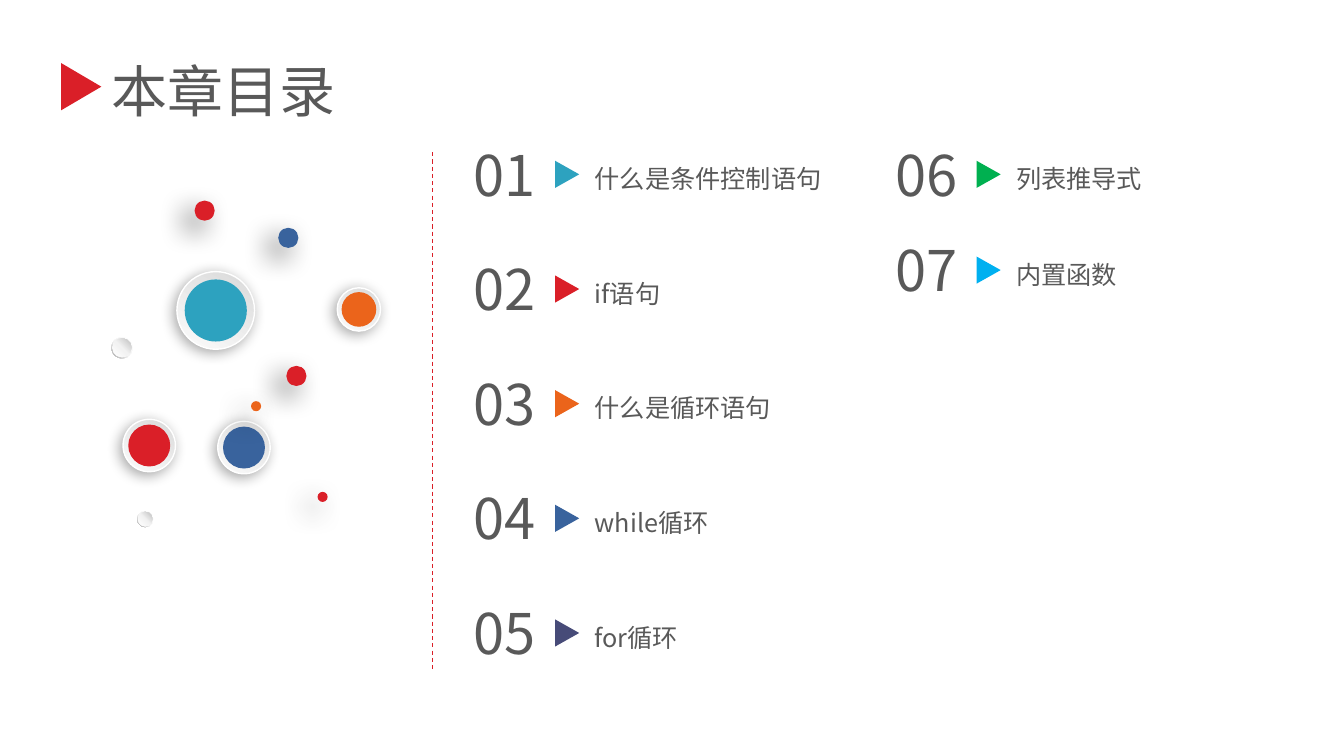
from dataclasses import dataclass
from typing import NamedTuple

from lxml import etree
from pptx import Presentation
from pptx.dml.color import RGBColor
from pptx.enum import dml, shapes, text
from pptx.oxml.ns import qn
from pptx.util import Inches, Pt

Stops = tuple[tuple[int, str], ...]


class Shade(NamedTuple):
    alpha: int
    blur: float
    dist: float
    angle: int


class Item(NamedTuple):
    label: str
    color: str


class Column(NamedTuple):
    left: float
    step: float
    items: tuple[Item, ...]


class Disc(NamedTuple):
    x: float
    y: float
    size: float
    color: str = ""


@dataclass(frozen=True)
class Theme:
    font: str = "Noto Sans CJK SC"
    ink: str = "595959"
    white: str = "FFFFFF"
    red: str = "DA1F28"
    teal: str = "2DA2BF"
    orange: str = "EB641B"
    blue: str = "39639D"
    indigo: str = "474B78"
    green: str = "00B050"
    sky: str = "00B0F0"
    large: int = 40
    small: int = 18
    rim: Stops = ((0, "D9D9D9"), (100, "FCFCFC"))
    edge: Stops = ((0, "FFFFFF"), (55, "F2F2F2"), (100, "A6A6A6"))
    core: Stops = ((0, "FFFFFF"), (51, "F2F2F2"), (100, "BFBFBF"))
    soft: Shade = Shade(34, 10, 3, 136)
    deep: Shade = Shade(60, 20, 10, 135)


T = Theme()
KIND = shapes.MSO_SHAPE

COLUMNS = (
    Column(4.6, 4.55 / 4, (
        Item("什么是条件控制语句", T.teal),
        Item("if语句", T.red),
        Item("什么是循环语句", T.orange),
        Item("while循环", T.blue),
        Item("for循环", T.indigo),
    )),
    Column(8.78, 0.95, (
        Item("列表推导式", T.green),
        Item("内置函数", T.sky),
    )),
)
RINGS = (
    Disc(2.14, 3.08, 0.77, T.teal),
    Disc(1.48, 4.42, 0.52, T.red),
    Disc(2.42, 4.44, 0.52, T.blue),
    Disc(3.56, 3.07, 0.43, T.orange),
)
BEADS = (Disc(1.44, 5.15, 0.16), Disc(1.21, 3.45, 0.21))
DOTS = (
    Disc(2.94, 3.73, 0.2, T.red),
    Disc(2.86, 2.36, 0.2, T.blue),
    Disc(3.2, 4.93, 0.1, T.red),
    Disc(2.03, 2.09, 0.2, T.red),
    Disc(2.54, 4.03, 0.1, T.orange),
)


def rgb(color: str) -> RGBColor:
    return RGBColor.from_string(color)


def node(parent, tag: str, **attrs):
    return etree.SubElement(parent, qn(tag), {k: str(v) for k, v in attrs.items()})


# Text
def write(shape, words: str, size: int, spacing: float = 1.0) -> None:
    frame = shape.text_frame
    frame.word_wrap = True
    frame.auto_size = text.MSO_AUTO_SIZE.NONE
    frame.vertical_anchor = text.MSO_ANCHOR.TOP
    frame.text = words
    para = frame.paragraphs[0]
    para.alignment = text.PP_ALIGN.LEFT
    para.line_spacing = spacing
    font = para.font
    font.size = Pt(size)
    font.color.rgb = rgb(T.ink)
    font.name = T.font
    node(para._p.pPr.find(qn("a:defRPr")), "a:ea", typeface=T.font)


def label(slide, left: float, top: float, width: float, height: float,
          words: str, size: int, spacing: float = 1.0) -> None:
    box = slide.shapes.add_textbox(
        Inches(left), Inches(top), Inches(width), Inches(height))
    write(box, words, size, spacing)


# Shapes
def plain(slide, kind, left: float, top: float, width: float, height: float):
    shape = slide.shapes.add_shape(
        kind, Inches(left), Inches(top), Inches(width), Inches(height))
    shape.shadow.inherit = False
    shape.line.fill.background()
    return shape


def paint(shape, color: str) -> None:
    shape.fill.solid()
    shape.fill.fore_color.rgb = rgb(color)


def blend(shape, stops: Stops, angle: int) -> None:
    shape.fill.gradient()
    shape.fill.gradient_angle = 360 - angle
    ramp = shape._element.spPr.find(".//" + qn("a:gsLst"))
    ramp.clear()
    for place, color in stops:
        node(node(ramp, "a:gs", pos=place * 1000), "a:srgbClr", val=color)


def cast(shape, shade: Shade) -> None:
    effects = shape._element.spPr.find(qn("a:effectLst"))
    outer = node(effects, "a:outerShdw", blurRad=Pt(shade.blur),
                 dist=Pt(shade.dist), dir=shade.angle * 60000,
                 algn="ctr", rotWithShape=0)
    node(node(outer, "a:srgbClr", val="000000"), "a:alpha", val=shade.alpha * 1000)


def arrow(slide, left: float, top: float, width: float, height: float,
          color: str) -> None:
    shape = plain(slide, KIND.ISOSCELES_TRIANGLE, left, top, width, height)
    shape.rotation = 90
    paint(shape, color)


def disc(slide, spot: Disc, scale: float = 1.0, kind=KIND.OVAL):
    size = spot.size * scale
    return plain(slide, kind, spot.x - size / 2, spot.y - size / 2, size, size)


def main() -> None:
    deck = Presentation()
    deck.slide_width, deck.slide_height = Inches(13.33), Inches(7.5)
    slide = deck.slides.add_slide(deck.slide_layouts[5])

    # Title
    title = slide.shapes.title
    title.left, title.top = Inches(1.01), Inches(0.51)
    title.width, title.height = Inches(3.26), Inches(0.77)
    write(title, "本章目录", T.large)
    arrow(slide, 0.57, 0.66, 0.47, 0.4, T.red)

    # Ringed discs
    for ring in RINGS:
        rim = disc(slide, ring)
        blend(rim, T.rim, 120)
        rim.line.color.rgb = rgb(T.white)
        rim.line.width = Pt(1)
        cast(rim, T.soft)
        paint(disc(slide, ring, 0.8), ring.color)

    # Pale beads
    for bead in BEADS:
        edge = disc(slide, bead, kind=KIND.DONUT)
        edge.adjustments[0] = 0.05
        blend(edge, T.edge, 135)
        blend(disc(slide, bead, 0.9), T.core, 315)

    # Small dots
    for spot in DOTS:
        dot = disc(slide, spot)
        paint(dot, spot.color)
        cast(dot, T.deep)

    # Divider
    rule = slide.shapes.add_connector(
        shapes.MSO_CONNECTOR.STRAIGHT,
        Inches(4.29), Inches(1.51), Inches(4.29), Inches(6.66))
    rule.line.color.rgb = rgb(T.red)
    rule.line.width = Pt(0.75)
    rule.line.dash_style = dml.MSO_LINE.DASH
    node(rule._element.spPr, "a:effectLst")

    # Contents, numbered through both columns
    count = 0
    for col in COLUMNS:
        for row, item in enumerate(col.items):
            count += 1
            top = 1.34 + row * col.step
            arrow(slide, col.left + 0.89, top + 0.27, 0.27, 0.24, item.color)
            label(slide, col.left, top, 0.9, 0.77, f"{count:02}", T.large)
            label(slide, col.left + 1.2, top + 0.08, 3.1, 0.5,
                  item.label, T.small, 1.5)

    deck.save("out.pptx")


if __name__ == "__main__":
    main()
